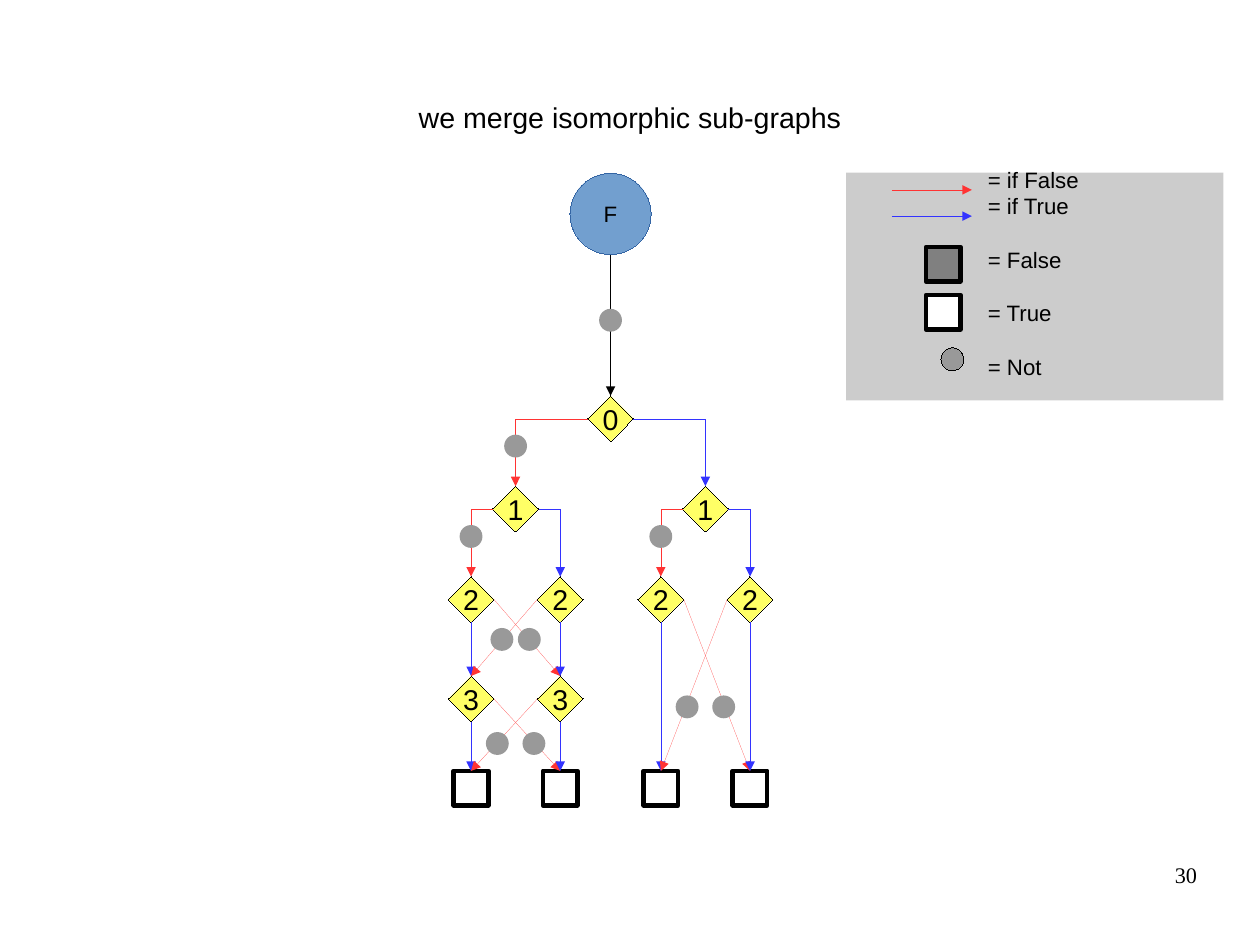
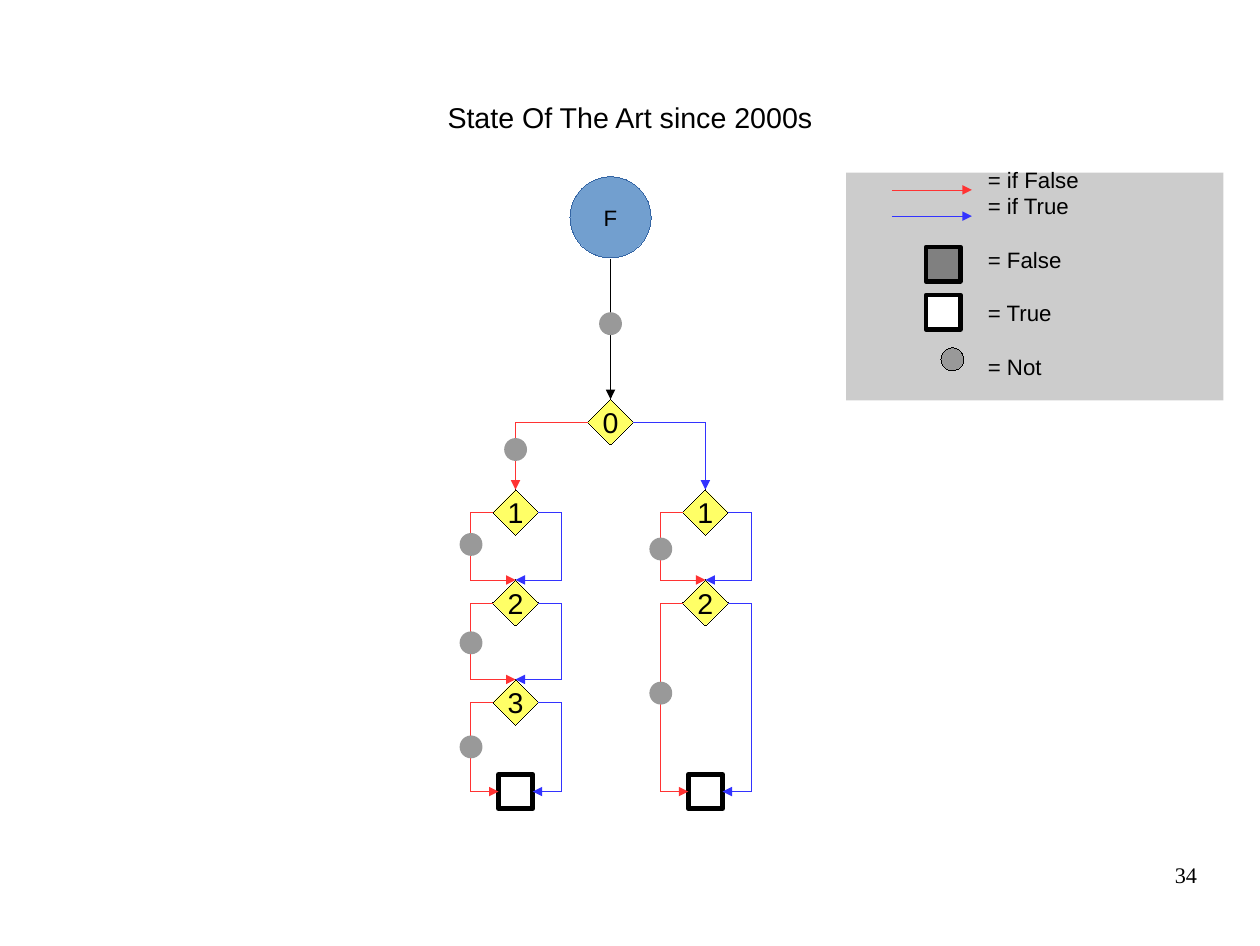
import dataclasses
import lxml.etree
import pptx
import pptx.dml.color
import pptx.enum.shapes
import pptx.enum.text
import pptx.oxml.ns
import pptx.util

Inches = pptx.util.Inches
Pt = pptx.util.Pt
KIND = pptx.enum.shapes.MSO_SHAPE
WIRE = pptx.enum.shapes.MSO_CONNECTOR
ALIGN = pptx.enum.text.PP_ALIGN
ANCHOR = pptx.enum.text.MSO_ANCHOR
TOP, LEFT, BASE, RIGHT = range(4)  # connection sites of a node


@dataclasses.dataclass(frozen=True)
class Theme:
    black: str = "000000"
    white: str = "FFFFFF"
    red: str = "FF3333"
    blue: str = "3333FF"
    root: str = "729FCF"
    edge: str = "3465A4"
    node: str = "FFFF66"
    dark: str = "808080"
    dot: str = "999999"
    panel: str = "CCCCCC"
    sans: str = "Arial"
    serif: str = "Times New Roman"
    large: int = 18
    small: int = 14


T = Theme()


def tint(code):
    return pptx.dml.color.RGBColor.from_string(code)


def write(frame, text, size, font=T.sans, align=ALIGN.CENTER, anchor=ANCHOR.MIDDLE):
    """Fill a frame without insets and format its runs."""
    frame.text = text
    frame.margin_left = frame.margin_right = 0
    frame.margin_top = frame.margin_bottom = 0
    frame.vertical_anchor = anchor
    for para in frame.paragraphs:
        para.alignment = align
        for run in para.runs:
            run.font.size = Pt(size)
            run.font.name = font
            run.font.color.rgb = tint(T.black)


def stroke(item, color, weight=0):
    """Colour an outline; weight 0 is a hairline and must be written out."""
    item.line.color.rgb = tint(color)
    edge = item.line._get_or_add_ln()
    edge.set("w", str(int(Pt(weight))))
    return edge


def shape(slide, kind, x, y, size, fill, line=None, weight=0):
    """Add a square-framed shape centred on x, y."""
    item = slide.shapes.add_shape(kind, Inches(x - size / 2), Inches(y - size / 2),
                                  Inches(size), Inches(size))
    item.shadow.inherit = False
    item.fill.solid()
    item.fill.fore_color.rgb = tint(fill)
    if line:
        stroke(item, line, weight)
    else:
        item.line.fill.background()
    return item


def node(slide, x, y, label):
    item = shape(slide, KIND.DIAMOND, x, y, 0.4, T.node, T.black)
    write(item.text_frame, label, T.large)
    item.text_frame.word_wrap = False
    return item


def leaf(slide, x, y, fill=T.white):
    return shape(slide, KIND.RECTANGLE, x, y, 0.3, fill, T.black, 3)


def dot(slide, x, y, line=None):
    return shape(slide, KIND.OVAL, x, y, 0.2, T.dot, line)


def wire(slide, start, end, color, kind=WIRE.STRAIGHT):
    """Add a hairline arrow between two points given in inches."""
    line = slide.shapes.add_connector(kind, *(Inches(v) for v in (*start, *end)))
    lxml.etree.SubElement(stroke(line, color),
                          pptx.oxml.ns.qn("a:tailEnd"), type="triangle")
    lxml.etree.SubElement(line._element.spPr, pptx.oxml.ns.qn("a:effectLst"))
    return line


def link(slide, start, out, end, color, bent=False):
    """Attach an arrow from one side of a node to the top of another."""
    kind = WIRE.ELBOW if bent else WIRE.STRAIGHT
    line = wire(slide, (0, 0), (1, 1), color, kind)
    line.begin_connect(start, out)
    line.end_connect(end, TOP)
    if bent:
        geom = line._element.spPr.find(pptx.oxml.ns.qn("a:prstGeom"))
        geom.set("prst", "bentConnector2")


def fork(slide, start, low, high):
    """Branch to the False child on the left and the True child on the right."""
    link(slide, start, LEFT, low, T.red, bent=True)
    link(slide, start, RIGHT, high, T.blue, bent=True)


def loop(slide, x, top, foot, gap):
    """Run both branches around to one child, ending gap from its centre."""
    bulge = -0.2 / (0.2 - gap)
    for side, color in ((-1, T.red), (1, T.blue)):
        line = wire(slide, (x + side * 0.2, top), (x + side * gap, foot),
                    color, WIRE.ELBOW)
        guides = line._element.spPr.find(".//" + pptx.oxml.ns.qn("a:avLst"))
        lxml.etree.SubElement(guides, pptx.oxml.ns.qn("a:gd"), name="adj1",
                              fmla=f"val {round(bulge * 100000)}")


# Depth of each level below the centre of the function circle
LEVEL = (1.79, 2.58, 3.37, 4.24, 5.02)
ARM = 0.83


def crown(slide, x, y):
    """Draw the function, the first test and its two children."""
    func = shape(slide, KIND.OVAL, x, y, 0.71, T.root, T.edge)
    write(func.text_frame, "F", T.small)
    first = node(slide, x, y + LEVEL[0], "0")
    pair = [node(slide, x + side, y + LEVEL[1], "1") for side in (-ARM, ARM)]
    entry = wire(slide, (x, y + 0.36), (x, y + LEVEL[0] - 0.2), T.black)
    entry.end_connect(first, TOP)
    fork(slide, first, *pair)
    dot(slide, x, y + 0.93)
    dot(slide, x - ARM, y + 2.03)
    return pair


def cross(slide, upper, lower):
    """Join two parents to two children, False crosswise and True straight."""
    for index, out in enumerate((RIGHT, LEFT)):
        link(slide, upper[index], BASE, lower[index], T.blue)
        link(slide, upper[index], out, lower[1 - index], T.red)


def merged(slide, x, y):
    """Draw the graph with isomorphic sub-graphs merged."""
    # Each column: centre, labels below level 1, (offset, depth) of crossing dots
    plans = ((x - ARM, "23", ((0.12, 3.72), (0.16, 4.63))),
             (x + ARM, "2", ((0.16, 4.31),)))
    for parent, (mid, labels, nots) in zip(crown(slide, x, y), plans):
        sides = (mid - 0.39, mid + 0.39)
        rows = [[node(slide, side, y + depth, label) for side in sides]
                for label, depth in zip(labels, LEVEL[2:])]
        rows.append([leaf(slide, side, y + LEVEL[4]) for side in sides])
        fork(slide, parent, *rows[0])
        for upper, lower in zip(rows, rows[1:]):
            cross(slide, upper, lower)
        dot(slide, sides[0], y + 2.82)
        for shift, depth in nots:
            dot(slide, mid - shift, y + depth)
            dot(slide, mid + shift, y + depth)


def reduced(slide, x, y):
    """Draw the graph with one chain of tests per column."""
    crown(slide, x, y)
    # Each column: centre, labels below level 1, depths of the dots
    plans = ((x - ARM, "23", (2.86, 3.72, 4.63)), (x + ARM, "2", (2.9, 4.16)))
    for mid, labels, nots in plans:
        leaf(slide, mid, y + LEVEL[4])
        depths = LEVEL[1:2 + len(labels)]
        for label, depth in zip(labels, depths[1:]):
            node(slide, mid, y + depth, label)
        for top, foot in zip(depths, depths[1:]):
            loop(slide, mid, y + top, y + foot - 0.2, 0)
        loop(slide, mid, y + depths[-1], y + LEVEL[4], 0.15)
        for depth in nots:
            dot(slide, mid - 0.39, y + depth)


def legend(slide, x, y):
    """Explain the symbols in a grey panel."""
    panel = slide.shapes.add_shape(KIND.RECTANGLE, Inches(x), Inches(y),
                                   Inches(3.3), Inches(1.99))
    panel.shadow.inherit = False
    panel.fill.solid()
    panel.fill.fore_color.rgb = tint(T.panel)
    panel.line.fill.background()

    # Meanings
    box = slide.shapes.add_textbox(Inches(x + 1.24), Inches(y - 0.06),
                                   Inches(1.6), Inches(1.9))
    names = ("if False", "if True", "False", "True", "Not")
    write(box.text_frame, "\n".join("= " + name for name in names), T.small,
          align=ALIGN.LEFT, anchor=ANCHOR.TOP)
    box.text_frame.word_wrap = True
    for para, space in zip(box.text_frame.paragraphs[1:], (0, 16.9, 16.9, 16.9)):
        para.space_before = Pt(space)

    # Symbols
    for drop, color in ((0.15, T.red), (0.38, T.blue)):
        wire(slide, (x + 0.4, y + drop), (x + 1.1, y + drop), color)
    leaf(slide, x + 0.85, y + 0.8, T.dark)
    leaf(slide, x + 0.85, y + 1.22)
    dot(slide, x + 0.93, y + 1.63, T.black)


def page(deck, title, number, graph, y):
    """Add a slide with title, graph, legend and page number."""
    slide = deck.slides.add_slide(deck.slide_layouts[5])
    head = slide.shapes.title
    head.left, head.top = Inches(0.55), Inches(0.33)
    head.width, head.height = Inches(9.92), Inches(1.38)
    write(head.text_frame, title, T.large)
    graph(slide, 5.34, y)
    legend(slide, 7.4, 1.51)
    foot = slide.shapes.add_textbox(Inches(7.9), Inches(7.53), Inches(2.57), Inches(0.57))
    write(foot.text_frame, number, T.small, T.serif, ALIGN.RIGHT, ANCHOR.TOP)
    foot.text_frame.word_wrap = True


def main():
    deck = pptx.Presentation()
    deck.slide_width, deck.slide_height = Inches(11.02), Inches(8.27)
    page(deck, "we merge isomorphic sub-graphs", "30", merged, 1.87)
    page(deck, "State Of The Art since 2000s", "34", reduced, 1.9)
    deck.save("out.pptx")


if __name__ == "__main__":
    main()
